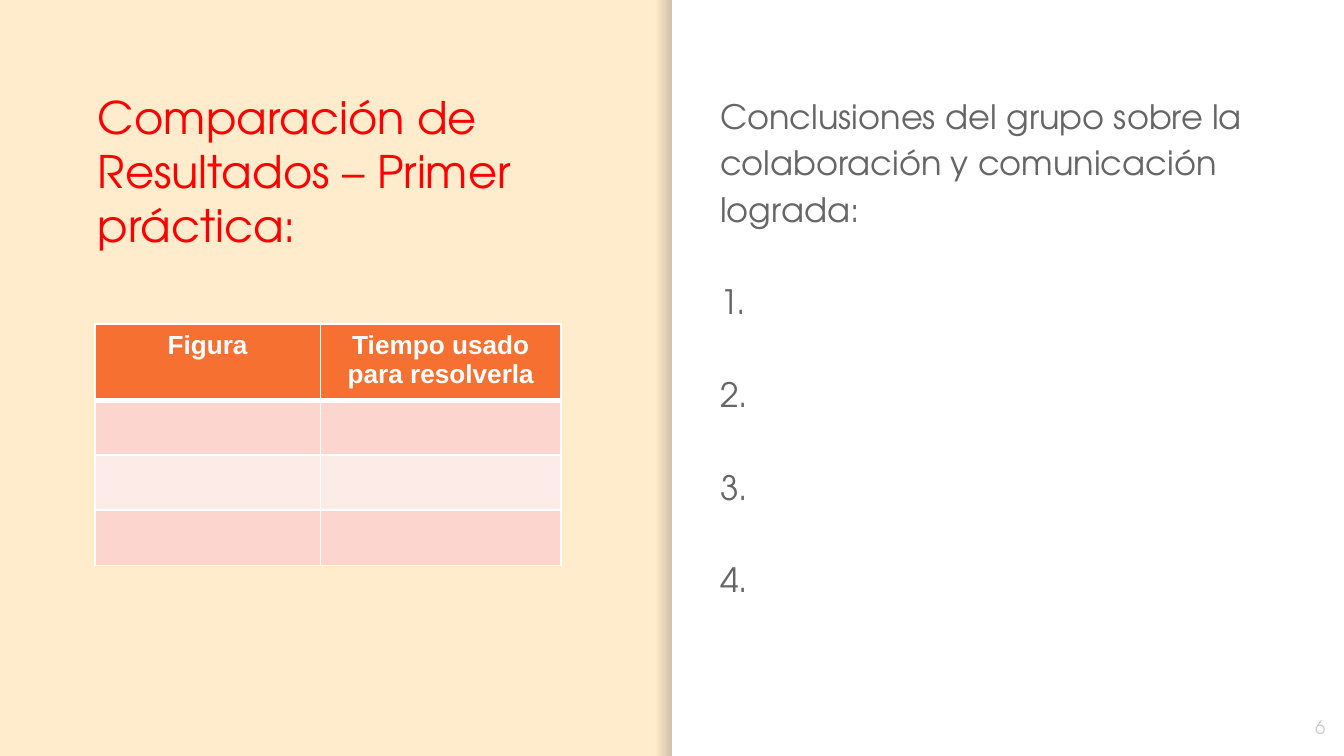
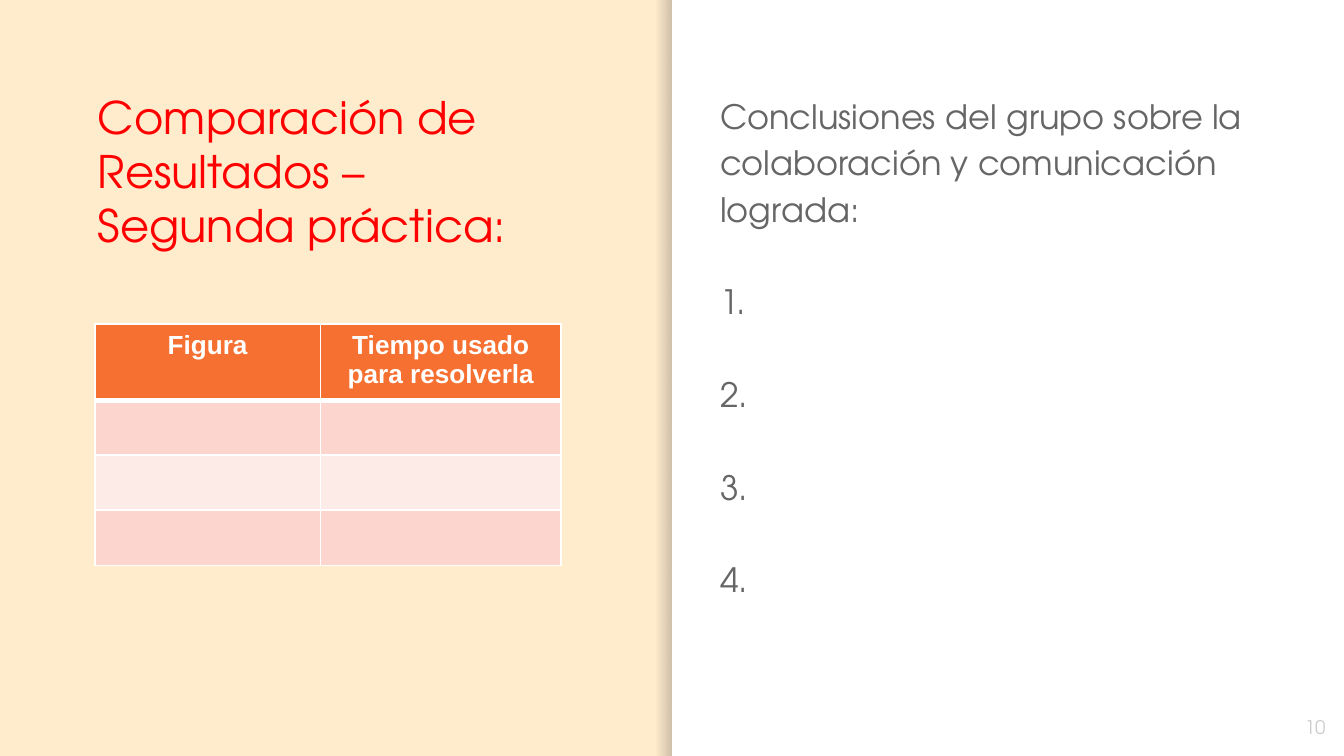
from collections import namedtuple

from lxml.etree import SubElement
from pptx import Presentation
from pptx.dml.color import RGBColor
from pptx.enum.shapes import MSO_SHAPE as Shape
from pptx.enum.text import MSO_ANCHOR as Anchor, PP_ALIGN as Align
from pptx.oxml.ns import qn
from pptx.util import Pt

EMU_PER_PX = 4572  # 200 px to the inch
Box = namedtuple("Box", "left top width height")

PAGE = Box(0, 0, 2000, 1125)
LEFT_HALF = Box(0, 0, 1000, 1125)
RIGHT_HALF = Box(1000, 0, 1000, 1125)

CREAM, WHITE, RED, ORANGE = "FFECCC", "FFFFFF", "FF0000", "F67031"
GRAY, PALE_GRAY, SHADE = "666666", "CCCCCC", "000014"
BANDS = ("FBD5CE", "FDEBE8")
DISPLAY_FONT, TABLE_FONT = "TeX Gyre Adventor", "Arial"

HEADERS = ("Figura", "Tiempo usado para resolverla")
COLUMN_WIDTHS = (336, 358)
ROW_COUNT, ROW_HEIGHT = 4, 82
CONCLUSIONS = ("Conclusiones del grupo sobre la colaboración y comunicación lograda:",
               "1.", "2.", "3.", "4.")
SLIDES = (("Comparación de Resultados – Primer práctica:", "6"),
          ("Comparación de Resultados – Segunda práctica:", "10"))


def px(length):
    return int(length * EMU_PER_PX)


def color(value):
    return RGBColor.from_string(value)


def inside(box, left, top, width, height):
    """Turn a place relative to box into a place on the page."""
    return Box(box.left + left, box.top + top, width, height)


def emu(box):
    return [px(length) for length in box]


def write(frame, lines, font=DISPLAY_FONT, size=18, ink=GRAY, bold=False,
          align=Align.LEFT, spacing=None, gap=0, indent=0):
    frame.word_wrap = True
    for index, line in enumerate(lines):
        para = frame.add_paragraph() if index else frame.paragraphs[0]
        para.alignment = align
        if spacing:
            para.line_spacing = spacing
        if index:
            para.space_before = Pt(gap)
        if indent:
            properties = para._p.get_or_add_pPr()
            properties.set("marL", str(px(indent)))
            properties.set("indent", "0")
        span = para.add_run()
        span.text = line
        span.font.name, span.font.size, span.font.bold = font, Pt(size), bold
        span.font.color.rgb = color(ink)


def add_text(page, box, lines, anchor=Anchor.TOP, **style):
    frame = page.shapes.add_textbox(*emu(box)).text_frame
    frame.margin_left = frame.margin_right = px(20)
    frame.margin_top = frame.margin_bottom = px(20)
    frame.vertical_anchor = anchor
    write(frame, lines, **style)


def add_rectangle(page, box):
    rectangle = page.shapes.add_shape(Shape.RECTANGLE, *emu(box))
    rectangle.shadow.inherit = False
    rectangle.line.fill.background()
    return rectangle


def add_fold(page, box):
    """Shade the right edge of box, clear on the left and darkest on the right."""
    fold = add_rectangle(page, inside(box, box.width - 25, 0, 25, box.height))
    fold.fill.gradient()
    fold.fill.gradient_angle = 0
    for stop in fold.fill.gradient_stops:
        stop.color.rgb = color(SHADE)
    for tint, percent in zip(fold._element.iter(qn("a:srgbClr")), (0, 20)):
        SubElement(tint, qn("a:alpha"), val=str(percent * 1000))


def set_borders(cell, **widths):
    """Draw white cell borders; widths are points, keyed L, R, T and B."""
    properties = cell._tc.get_or_add_tcPr()
    for side, width in widths.items():
        line = SubElement(properties, qn(f"a:ln{side}"), w=str(Pt(width)))
        fill = SubElement(line, qn("a:solidFill"))
        SubElement(fill, qn("a:srgbClr"), val=WHITE)


def add_results_table(page, box):
    holder = page.shapes.add_table(ROW_COUNT, len(HEADERS), *emu(box))
    table = holder.table
    table.horz_banding = False
    for column, width in zip(table.columns, COLUMN_WIDTHS):
        column.width = px(width)
    for index, row in enumerate(table.rows):
        row.height = px(ROW_HEIGHT)
        for cell, header in zip(row.cells, HEADERS):
            set_borders(cell, L=1, R=1, T=3 if index == 1 else 1,
                        B=3 if index == 0 else 1)
            cell.fill.solid()
            if index == 0:
                cell.fill.fore_color.rgb = color(ORANGE)
                write(cell.text_frame, [header], font=TABLE_FONT, size=14,
                      ink=WHITE, bold=True, align=Align.CENTER)
            else:
                cell.fill.fore_color.rgb = color(BANDS[(index - 1) % 2])
    holder.height = px(box.height)


def add_results(page, box, title):
    add_fold(page, box)
    add_text(page, inside(box, 126, 114, 710, 312), [title], size=24, ink=RED)
    add_results_table(page, inside(box, 141, 482, sum(COLUMN_WIDTHS), 356))


def add_conclusions(page, box, number):
    panel = add_rectangle(page, box)
    panel.fill.solid()
    panel.fill.fore_color.rgb = color(WHITE)
    add_text(page, inside(box, 872, 1039, 120, 86), [number], anchor=Anchor.MIDDLE,
             size=10, ink=PALE_GRAY, align=Align.RIGHT)
    add_text(page, inside(box, 28, 114, 936, 874), CONCLUSIONS,
             spacing=1.15, gap=24.8, indent=24)


def main():
    deck = Presentation()
    deck.slide_width, deck.slide_height = px(PAGE.width), px(PAGE.height)
    backdrop = deck.slide_master.background.fill
    backdrop.solid()
    backdrop.fore_color.rgb = color(CREAM)
    for title, number in SLIDES:
        page = deck.slides.add_slide(deck.slide_layouts[6])
        add_conclusions(page, RIGHT_HALF, number)
        add_results(page, LEFT_HALF, title)
    deck.save("out.pptx")


if __name__ == "__main__":
    main()
